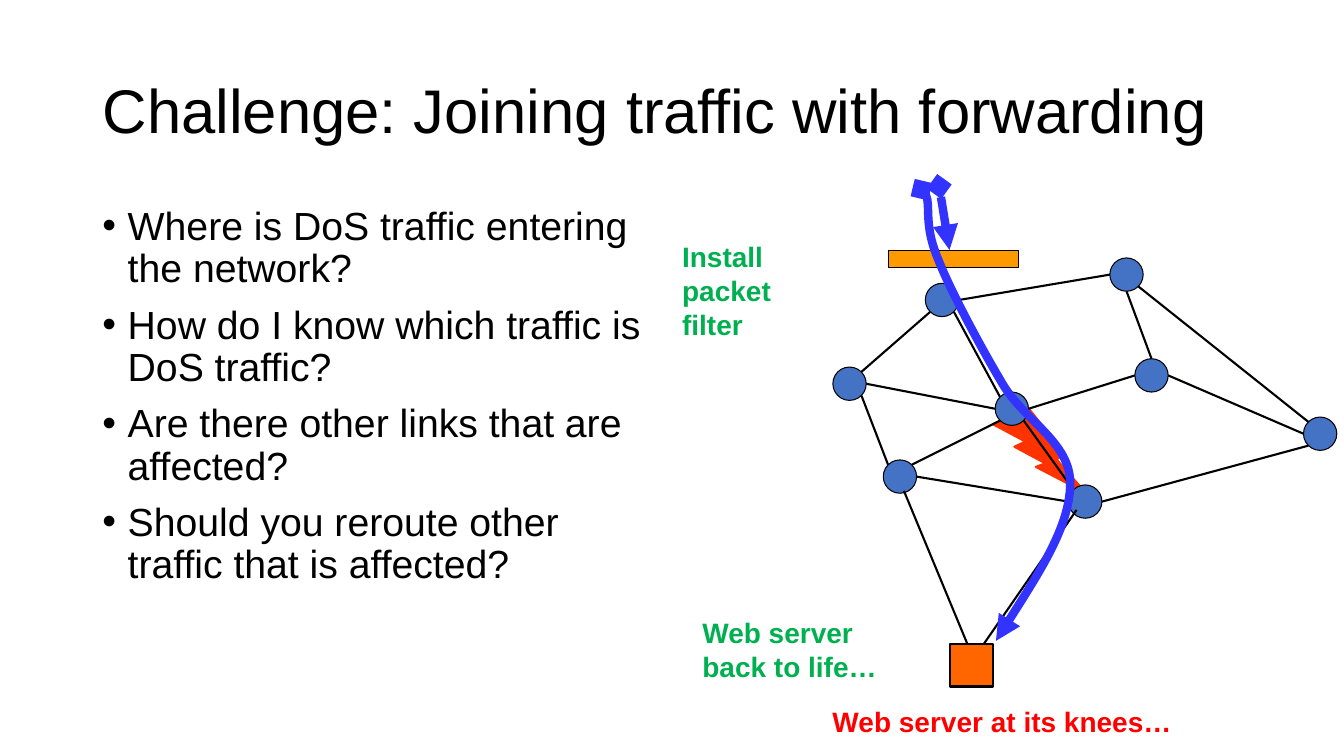
import pptx
import pptx.util
import pptx.dml.color
import pptx.enum.shapes
import pptx.enum.text
import pptx.oxml.ns
import pptx.oxml.xmlchemy
from pptx.util import Cm, Pt

COLORS = {
    "text": "000000", "node": "4472C4", "bolt": "FF3300", "server": "FF6600",
    "filter": "FF9900", "flow": "3333FF", "alert": "FF0000", "fix": "00B050",
}
SHAPES = pptx.enum.shapes.MSO_SHAPE
RADIUS = 0.42
DIAGONAL = 0.3


def rgb(name):
    return pptx.dml.color.RGBColor.from_string(COLORS[name])


def write(frame, lines, size, color, bold=False):
    """Fill a text frame with one Arial run per paragraph."""
    frame.word_wrap = True
    frame.auto_size = pptx.enum.text.MSO_AUTO_SIZE.NONE
    for index, line in enumerate(lines):
        para = frame.paragraphs[0] if index == 0 else frame.add_paragraph()
        para.alignment = pptx.enum.text.PP_ALIGN.LEFT
        span = para.add_run()
        span.text = line
        span.font.name = "Arial"
        span.font.size = Pt(size)
        span.font.bold = bold
        span.font.color.rgb = rgb(color)


deck = pptx.Presentation()
deck.slide_width, deck.slide_height = Cm(33.87), Cm(19.05)
page = deck.slides.add_slide(deck.slide_layouts[5])

# Title
title = page.shapes.title
title.left, title.top, title.width, title.height = Cm(2.33), Cm(1.01), Cm(29.21), Cm(3.68)
write(title.text_frame, ["Challenge: Joining traffic with forwarding"], 44, "text")
title.text_frame.vertical_anchor = pptx.enum.text.MSO_ANCHOR.MIDDLE
title.text_frame.paragraphs[0].line_spacing = 0.9

# Network nodes by centre, with the flooded link behind them
nodes = {
    "entry": (23.74, 7.56), "west": (21.41, 9.67), "southwest": (22.68, 12.01),
    "south": (27.35, 12.64), "core": (25.5, 10.3), "east": (29.02, 9.46),
    "north": (28.39, 6.92), "far east": (33.27, 10.93),
}
solids = [(SHAPES.LIGHTNING_BOLT, 25.02, 10.31, 2.34, 2.11, "bolt", "bolt", 1.5)]
solids += [(SHAPES.OVAL, x - RADIUS, y - RADIUS, 2 * RADIUS, 2 * RADIUS, "node", "text", 0.75)
           for x, y in nodes.values()]
solids += [
    (SHAPES.RECTANGLE, 23.95, 16.23, 1.07, 1.07, "server", "text", 1.5),
    (SHAPES.RECTANGLE, 22.38, 6.32, 3.28, 0.43, "filter", "text", 0.75),
]
for kind, left, top, width, height, fill, edge, weight in solids:
    shape = page.shapes.add_shape(kind, Cm(left), Cm(top), Cm(width), Cm(height))
    shape.shadow.inherit = False
    shape.fill.solid()
    shape.fill.fore_color.rgb = rgb(fill)
    shape.line.color.rgb = rgb(edge)
    shape.line.width = Pt(weight)

# Links join points on the rims of the nodes
rim = {
    "N": (0, -RADIUS), "S": (0, RADIUS), "E": (RADIUS, 0), "W": (-RADIUS, 0),
    "NE": (DIAGONAL, -DIAGONAL), "NW": (-DIAGONAL, -DIAGONAL),
    "SE": (DIAGONAL, DIAGONAL), "SW": (-DIAGONAL, DIAGONAL),
}
links = [
    ("west", "E", "core", "W"), ("core", "SW", "southwest", "NE"),
    ("core", "SE", "south", "NW"), ("entry", "SE", "core", "NW"),
    ("core", "E", "east", "W"), ("north", "S", "east", "N"),
    ("entry", "E", "north", "W"), ("east", "E", "far east", "W"),
    ("south", "E", "far east", "SW"), ("north", "SE", "far east", "NW"),
    ("southwest", "E", "south", "W"), ("west", "SE", "southwest", "NW"),
    ("west", "NE", "entry", "SW"),
]
segments = []
for start, start_side, end, end_side in links:
    segments.append([nodes[name][axis] + rim[side][axis]
                     for name, side in ((start, start_side), (end, end_side))
                     for axis in (0, 1)])
server_links = [(22.78, 12.37, 24.38, 16.23), (27.13, 12.85, 24.79, 16.23)]
for segment in segments + server_links:
    link = page.shapes.add_connector(
        pptx.enum.shapes.MSO_CONNECTOR.STRAIGHT, *[Cm(value) for value in segment])
    link.line.color.rgb = rgb("text")
    link.line.width = Pt(1.5)
    link._element.spPr.append(pptx.oxml.xmlchemy.OxmlElement("a:effectLst"))

# Traffic flows: a start point, then three Bézier points per curve
flows = [
    [(23.22, 4.78), (23.24, 4.75), (23.29, 4.75), (23.37, 5.03),
     (23.42, 5.33), (23.32, 5.79), (23.65, 6.55),
     (23.95, 7.32), (24.71, 8.74), (25.27, 9.68),
     (25.83, 10.62), (27, 11.15), (26.97, 12.22),
     (26.95, 13.28), (26.01, 14.71), (25.1, 16.15)],
    [(23.67, 4.7), (23.67, 4.7), (23.8, 5.49), (23.93, 6.3)],
]
for flow in flows:
    points = [(Cm(x), Cm(y)) for x, y in flow]
    builder = page.shapes.build_freeform(*points[0])
    builder.add_line_segments(points[1:], close=False)
    curve = builder.convert_to_shape()
    curve.shadow.inherit = False
    curve.fill.background()
    curve.line.color.rgb = rgb("flow")
    curve.line.width = Pt(6)
    steps = list(curve._element.iter(pptx.oxml.ns.qn("a:lnTo")))
    outline = steps[0].getparent()
    for first in range(0, len(steps), 3):
        bezier = pptx.oxml.xmlchemy.OxmlElement("a:cubicBezTo")
        for step in steps[first:first + 3]:
            bezier.append(step[0])
            outline.remove(step)
        outline.append(bezier)
    for tag, head in (("a:headEnd", "diamond"), ("a:tailEnd", "triangle")):
        arrow = pptx.oxml.xmlchemy.OxmlElement(tag)
        arrow.set("type", head)
        curve._element.spPr.get_or_add_ln().append(arrow)

# Labels
labels = [
    (20.73, 17.63, 9.12, 1.12, ["Web server at its knees…"], "alert"),
    (16.94, 5.92, 4.27, 2.9, ["Install packet", "filter"], "fix"),
    (17.45, 15.39, 5.99, 1.96, ["Web server back to life…"], "fix"),
]
for left, top, width, height, lines, color in labels:
    box = page.shapes.add_textbox(Cm(left), Cm(top), Cm(width), Cm(height))
    write(box.text_frame, lines, 20, color, bold=True)

# Questions
questions = page.shapes.add_textbox(Cm(2.33), Cm(5.08), Cm(14.55), Cm(13.64))
write(questions.text_frame, [
    "Where is DoS traffic entering the network?",
    "How do I know which traffic is DoS traffic?",
    "Are there other links that are affected?",
    "Should you reroute other traffic that is affected?",
], 28, "text")
for index, para in enumerate(questions.text_frame.paragraphs):
    para.line_spacing = 0.9
    para.space_before = Pt(10 if index else 0)
    settings = para._p.get_or_add_pPr()
    settings.set("marL", str(Cm(0.64)))
    settings.set("indent", str(-Cm(0.64)))
    for tag, name, value in (("a:buFont", "typeface", "Arial"), ("a:buChar", "char", "•")):
        bullet = pptx.oxml.xmlchemy.OxmlElement(tag)
        bullet.set(name, value)
        settings.append(bullet)

deck.save("out.pptx")
